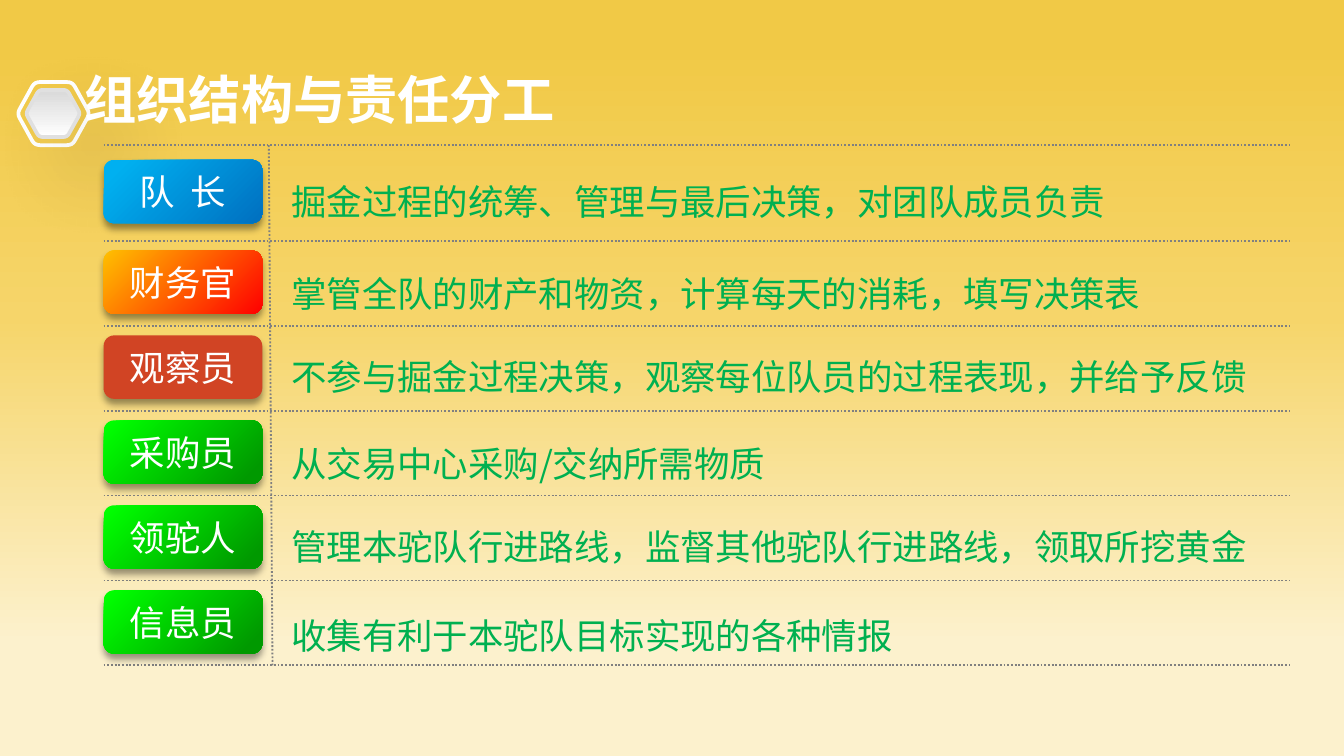
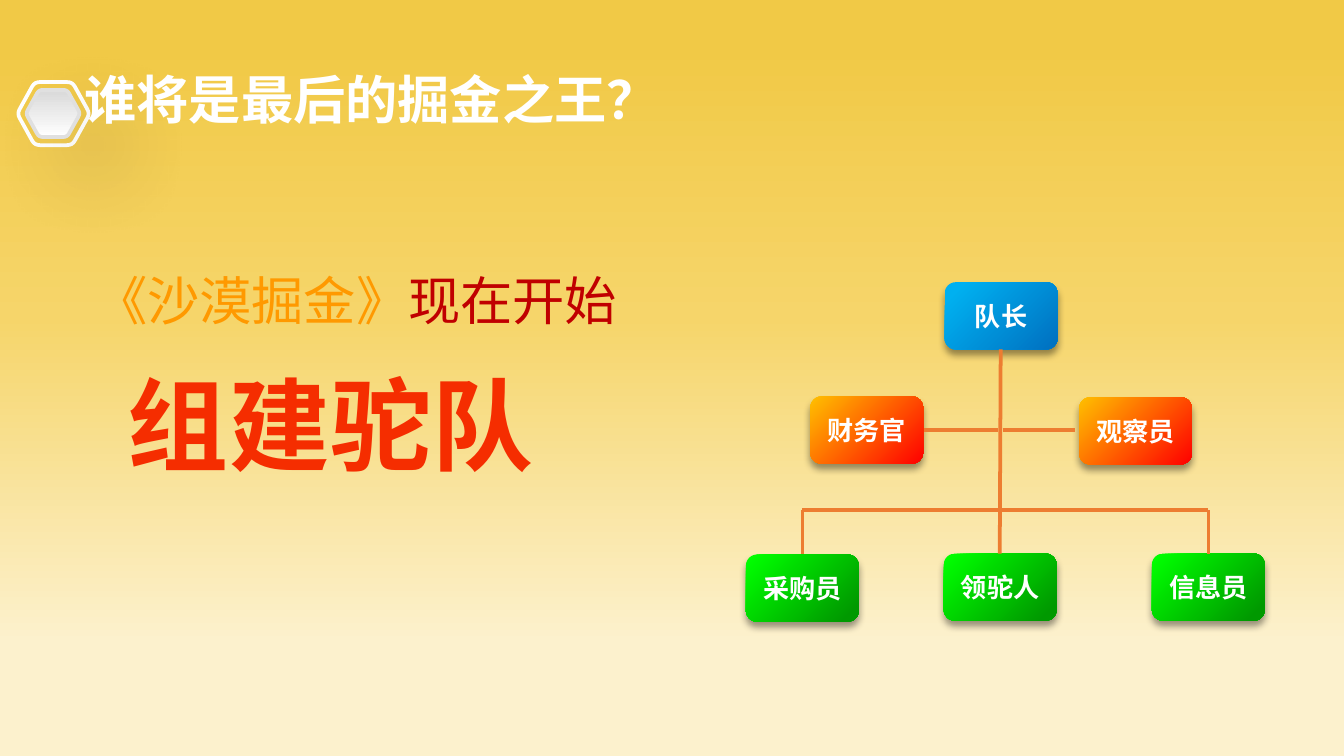
from lxml.etree import SubElement
from pptx import Presentation
from pptx.dml.color import RGBColor
from pptx.enum.dml import MSO_LINE
from pptx.enum.shapes import MSO_CONNECTOR, MSO_SHAPE
from pptx.enum.text import MSO_ANCHOR, MSO_AUTO_SIZE, PP_ALIGN
from pptx.oxml.ns import qn
from pptx.util import Pt

JP, SC = "Noto Sans CJK JP", "Noto Sans CJK SC"
WHITE, GREY, GREEN, ORANGE = "FFFFFF", "808080", "00B050", "ED7D31"

# Gradients: stops as (percent, colour), then the angle
SAND = ([(15, "FCF1CD"), (58, "F6D56A"), (94, "F1C946")], 270)
SILVER = ([(0, "D9D9D9"), (100, "FFFFFF")], 90)
FLAME = ([(25, "F52D00"), (100, "AD2000")], 90)
LEADER = ([(10, "00B0F0"), (100, "0070C0")], 45)
OFFICER = ([(0, "FFC000"), (100, "FF0000")], 45)
MEMBER = ([(4, "00FF00"), (91, "009900")], 45)
BRICK = "D14424"

# Shadows: opacity percent, blur, distance, angle
BADGE_SHADOW = (40, 4, 3, 90)
HEXAGON_SHADOW = (15, 45, 27, 38)


def rgb(color):
    return RGBColor.from_string(color)


def paint(fill, parent, color):
    """Fill with a hex colour or a gradient; parent is the XML element holding the fill."""
    fill.solid()
    if isinstance(color, str):
        fill.fore_color.rgb = rgb(color)
        return
    stops, angle = color
    solid = parent.find(qn("a:solidFill"))
    gradient = parent.makeelement(qn("a:gradFill"), {"rotWithShape": "1"})
    stop_list = SubElement(gradient, qn("a:gsLst"))
    for percent, stop_color in stops:
        stop = SubElement(stop_list, qn("a:gs"), pos=str(percent * 1000))
        SubElement(stop, qn("a:srgbClr"), val=stop_color)
    SubElement(gradient, qn("a:lin"), ang=str(angle * 60000), scaled="0")
    parent.replace(solid, gradient)


def cast_shadow(shape, shadow):
    opacity, blur, distance, angle = shadow
    shape.shadow.inherit = False
    effects = shape._element.spPr.find(qn("a:effectLst"))
    outer = SubElement(effects, qn("a:outerShdw"), blurRad=str(Pt(blur)),
                       dist=str(Pt(distance)), dir=str(angle * 60000),
                       algn="ctr", rotWithShape="0")
    black = SubElement(outer, qn("a:srgbClr"), val="000000")
    SubElement(black, qn("a:alpha"), val=str(opacity * 1000))


def style(para, name, size, color=None, bold=False, spacing=0):
    font = para.font
    font.name, font.size, font.bold = name, Pt(size), bold
    SubElement(font._rPr, qn("a:ea"), typeface=name)
    if spacing:
        font._rPr.set("spc", str(int(spacing * 100)))
    if color:
        paint(font.fill, font._rPr, color)


def add_text(page, box, spans, name, size, color=None, wrap=True, **options):
    """Add a growing text box; spans are (text, colour or None) pairs."""
    frame = page.shapes.add_textbox(*map(Pt, box)).text_frame
    frame.word_wrap = wrap
    frame.auto_size = MSO_AUTO_SIZE.SHAPE_TO_FIT_TEXT
    para = frame.paragraphs[0]
    style(para, name, size, color, **options)
    for text, span_color in spans:
        span = para.add_run()
        span.text = text
        if span_color:
            span.font.color.rgb = rgb(span_color)
    return para


def add_line(page, start, end, color, width=1, dash=None):
    line = page.shapes.add_connector(MSO_CONNECTOR.STRAIGHT, *map(Pt, start + end))
    line.line.color.rgb = rgb(color)
    line.line.width = Pt(width)
    if dash:
        line.line.dash_style = dash
    SubElement(line._element.spPr, qn("a:effectLst"))


def add_badge(page, box, text, color, name, size, **options):
    badge = page.shapes.add_shape(MSO_SHAPE.ROUNDED_RECTANGLE, *map(Pt, box))
    paint(badge.fill, badge._element.spPr, color)
    badge.line.fill.background()
    cast_shadow(badge, BADGE_SHADOW)
    frame = badge.text_frame
    frame.word_wrap = True
    frame.vertical_anchor = MSO_ANCHOR.MIDDLE
    para = frame.paragraphs[0]
    para.alignment = PP_ALIGN.CENTER
    style(para, name, size, WHITE, **options)
    para.add_run().text = text


def add_hexagon(page, box, line_color, color=None):
    """Draw a hexagon whose corners are rounded by short curve steps."""
    left, top, width, height = box
    corners = [(left + x * width, top + y * height) for x, y in
               [(0.23, 0), (0.77, 0), (1.02, 0.5), (0.77, 1), (0.23, 1), (-0.02, 0.5)]]
    points = []
    for index, corner in enumerate(corners):
        before, after = corners[index - 1], corners[(index + 1) % 6]
        entry, leave = ([c + (n - c) * 0.14 for c, n in zip(corner, near)]
                        for near in (before, after))
        for step in (0, 0.25, 0.5, 0.75, 1):
            points.append(tuple(
                Pt((1 - step) ** 2 * a + 2 * step * (1 - step) * b + step ** 2 * c)
                for a, b, c in zip(entry, corner, leave)))
    builder = page.shapes.build_freeform(*points[0])
    builder.add_line_segments(points[1:], close=True)
    hexagon = builder.convert_to_shape()
    if color:
        paint(hexagon.fill, hexagon._element.spPr, color)
    else:
        hexagon.fill.background()
    hexagon.line.color.rgb = rgb(line_color)
    hexagon.line.width = Pt(2)
    cast_shadow(hexagon, HEXAGON_SHADOW)


def add_page(deck, title, name):
    """Add a page with the shared background, hexagon mark and title."""
    page = deck.slides.add_slide(deck.slide_layouts[6])
    fill = page.background.fill
    fill.solid()
    paint(fill, page._element.find(".//" + qn("p:bgPr")), SAND)
    add_hexagon(page, (10, 44, 37.4, 33.8), WHITE)
    add_hexagon(page, (14.4, 48.2, 28, 25.2), "E0E0E0", SILVER)
    add_text(page, (38.2, 32.4, 605, 41), [(title, None)], name, 28, WHITE, bold=True)
    return page


def add_duties(page, box, duties):
    """List roles and their duties between dotted rules; the first row is taller."""
    left, top, width, height = box
    first, pitch = 51.2, 45.5
    rules = [top] + [top + first + pitch * row for row in range(len(duties))]
    for rule in rules:
        add_line(page, (left, rule), (left + width, rule), GREY, dash=MSO_LINE.ROUND_DOT)
    add_line(page, (left + 88.5, top), (left + 90.5, top + height), GREY,
             dash=MSO_LINE.ROUND_DOT)
    for row, (role, color, spacing, duty, drop) in enumerate(duties):
        inset = 5.2 if row else 7.8
        add_badge(page, (left, rules[row] + inset, 85, 34), role, color, JP, 19,
                  spacing=spacing)
        para = add_text(page, (left + 93.5, rules[row] + drop, 556, 41.8),
                        [(duty, None)], JP, 19, GREEN)
        para.line_spacing = 1.5
        para._p.get_or_add_pPr().set("marL", str(Pt(31)))
        para._p.get_or_add_pPr().set("indent", str(-Pt(31)))


def add_slogan(page, box):
    left, top, width, height = box
    add_text(page, (left, top, width, 41), [("《沙漠掘金》", "FF9900"), ("现在开始", "C00000")],
             SC, 28, wrap=False)
    para = add_text(page, (left + 17.3, top + 50.4, 275.8, height - 50.4),
                    [("组建驼队", None)], SC, 54, FLAME, bold=True, spacing=0.5)
    para.alignment = PP_ALIGN.JUSTIFY


def add_team_chart(page, box):
    left, top, width, height = box
    badge_width, badge_height = 60.5, 36
    member_top = height - badge_height
    team = [("队长", LEADER, 106.5, 0), ("财务官", OFFICER, 34.5, 61.2),
            ("领驼人", MEMBER, 106, member_top), ("采购员", MEMBER, 0, member_top + 0.5),
            ("信息员", MEMBER, width - badge_width, member_top),
            ("观察员", OFFICER, 178.5, 61.6)]
    for role, color, x, y in team:
        add_badge(page, (left + x, top + y, badge_width, badge_height), role, color,
                  SC, 14, bold=True)
    trunk, rail, branch = 136.5, 122.2, 79.2
    first, last = badge_width / 2, width - badge_width / 2
    for x1, y1, x2, y2 in [(trunk, badge_height, trunk - 0.5, member_top),
                           (first, rail, last, rail),
                           (first, rail, first, member_top),
                           (last, rail, last, member_top),
                           (95.5, branch, trunk - 1.5, branch),
                           (trunk + 1, branch, 176.5, branch)]:
        add_line(page, (left + x1, top + y1), (left + x2, top + y2), ORANGE, 2)


def main():
    deck = Presentation()
    deck.slide_width, deck.slide_height = Pt(720), Pt(405)

    # role, badge colour, letter spacing, duty, drop of the duty below its rule
    duties = [
        ("队 长", LEADER, 2, "掘金过程的统筹、管理与最后决策，对团队成员负责", 3.6),
        ("财务官", OFFICER, 0, "掌管全队的财产和物资，计算每天的消耗，填写决策表", 2),
        ("观察员", BRICK, 0, "不参与掘金过程决策，观察每位队员的过程表现，并给予反馈", 1),
        ("采购员", MEMBER, 0, "从交易中心采购/交纳所需物质", 1.8),
        ("领驼人", MEMBER, 0, "管理本驼队行进路线，监督其他驼队行进路线，领取所挖黄金", 1),
        ("信息员", MEMBER, 0, "收集有利于本驼队目标实现的各种情报", 2.9),
    ]
    page = add_page(deck, "组织结构与责任分工", JP)
    add_duties(page, (55.5, 77.8, 635.8, 278.7), duties)

    page = add_page(deck, "谁将是最后的掘金之王？", SC)
    add_slogan(page, (43.9, 140.4, 294.5, 123))
    add_team_chart(page, (399.6, 151.2, 278, 181.4))

    deck.save("out.pptx")


if __name__ == "__main__":
    main()
